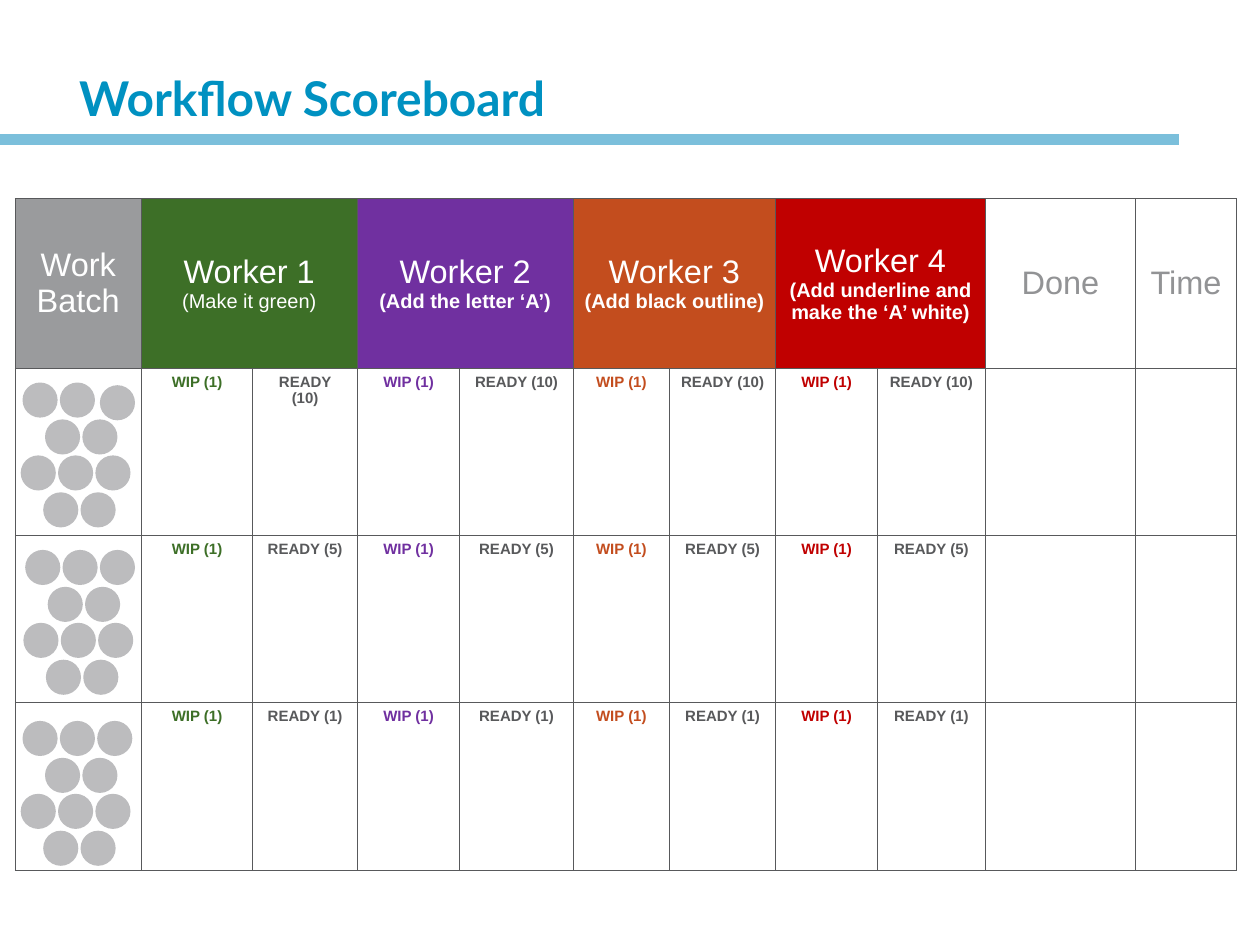
from lxml import etree
from pptx import Presentation
from pptx.dml.color import RGBColor
from pptx.enum.shapes import MSO_SHAPE
from pptx.enum.text import MSO_ANCHOR, MSO_AUTO_SIZE, PP_ALIGN
from pptx.oxml.ns import qn
from pptx.util import Inches, Pt

RECTANGLE, OVAL = MSO_SHAPE.RECTANGLE, MSO_SHAPE.OVAL
TOP, MIDDLE = MSO_ANCHOR.TOP, MSO_ANCHOR.MIDDLE
LEFT, CENTER = PP_ALIGN.LEFT, PP_ALIGN.CENTER

COLORS = {
    "title": "0091C1", "rule": "7BBFDB", "circle": "BCBCBE",
    "batch": "9A9B9D", "green": "3D6F27", "purple": "7030A0",
    "orange": "C34D1E", "red": "C00000", "white": "FFFFFF",
    "muted": "929395", "dark": "58595B",
}
TABLE_LEFT, TABLE_TOP = 0.17, 2.21
COLUMN_WIDTHS = [1.4, 1.24, 1.16, 1.14, 1.26, 1.07, 1.18, 1.13, 1.2, 1.67, 1.12]
ROW_HEIGHTS = [1.88, 1.86, 1.86, 1.86]
WORKERS = [
    ("Worker 1", "(Make it green)", "green", False),
    ("Worker 2", "(Add the letter ‘A’)", "purple", True),
    ("Worker 3", "(Add black outline)", "orange", True),
    ("Worker 4", "(Add underline and make the ‘A’ white)", "red", True),
]
READY_LIMITS = [10, 5, 1]
CIRCLE_SIZE, CIRCLE_STEP = 0.39, 0.415
CIRCLE_ROWS = [(0.02, 0, 3), (0.27, 0.41, 2), (0, 0.81, 3), (0.25, 1.22, 2)]
CLUSTERS = [(0.23, 4.25), (0.26, 6.11), (0.23, 8.01)]


def write_lines(frame, lines, align=CENTER):
    """Write one paragraph per (text, size, colour, bold, font) entry."""
    for index, (text, size, color, bold, font) in enumerate(lines):
        para = frame.paragraphs[0] if index == 0 else frame.add_paragraph()
        para.alignment = align
        span = para.add_run()
        span.text = text
        formats = {"size": Pt(size), "bold": bold, "name": font}
        for name, value in formats.items():
            setattr(span.font, name, value)
        span.font.color.rgb = RGBColor.from_string(COLORS[color])


def add_plain_shape(kind, left, top, width, height, color):
    """Add a filled shape with no outline or shadow."""
    shape = page.shapes.add_shape(
        kind, Inches(left), Inches(top), Inches(width), Inches(height))
    shape.shadow.inherit = False
    shape.fill.solid()
    shape.fill.fore_color.rgb = RGBColor.from_string(COLORS[color])
    shape.line.fill.background()


deck = Presentation()
deck.slide_width, deck.slide_height = Inches(14), Inches(10.5)
page = deck.slides.add_slide(deck.slide_layouts[5])

# Title and rule
title = page.shapes.title
place = {"left": 0.78, "top": 0.69, "width": 12.43, "height": 0.64}
for name, value in place.items():
    setattr(title, name, Inches(value))
title_format = {
    "word_wrap": True, "auto_size": MSO_AUTO_SIZE.NONE, "vertical_anchor": TOP,
    "margin_top": Inches(0.07), "margin_bottom": 0,
}
for name, value in title_format.items():
    setattr(title.text_frame, name, value)
write_lines(title.text_frame,
            [("Workflow Scoreboard", 38.3, "title", True, "Lato")], LEFT)

# Scoreboard table
board = page.shapes.add_table(
    len(ROW_HEIGHTS), len(COLUMN_WIDTHS), Inches(TABLE_LEFT), Inches(TABLE_TOP),
    Inches(sum(COLUMN_WIDTHS)), Inches(sum(ROW_HEIGHTS))).table
board.first_row = board.horz_banding = False
for column, width in zip(board.columns, COLUMN_WIDTHS):
    column.width = Inches(width)
for row, height in zip(board.rows, ROW_HEIGHTS):
    row.height = Inches(height)

# Cell contents, keyed by row and column: fill and lines
contents = {
    (0, 0): ("batch", [(word, 26, "white", False, "Arial")
                       for word in ("Work", "Batch")]),
    (0, 9): ("white", [("Done", 26, "muted", False, "Arial")]),
    (0, 10): ("white", [("Time", 26, "muted", False, "Arial")]),
}
for index, (worker, task, color, bold) in enumerate(WORKERS):
    column = 1 + 2 * index
    board.cell(0, column).merge(board.cell(0, column + 1))
    contents[0, column] = (color, [(worker, 26, "white", False, "Arial"),
                                   (task, 16, "white", bold, "Arial")])
    for row, limit in enumerate(READY_LIMITS, start=1):
        contents[row, column] = (
            "white", [("WIP (1)", 12, color, True, "Arial")])
        contents[row, column + 1] = (
            "white", [(f"READY ({limit})", 12, "dark", True, "Arial")])

for row in range(len(ROW_HEIGHTS)):
    for column in range(len(COLUMN_WIDTHS)):
        cell = board.cell(row, column)
        fill, lines = contents.get((row, column), ("white", []))
        cell_format = {
            "vertical_anchor": MIDDLE if row == 0 else TOP,
            "margin_left": Inches(0.12), "margin_right": Inches(0.12),
            "margin_top": Inches(0.06), "margin_bottom": Inches(0.06),
        }
        for name, value in cell_format.items():
            setattr(cell, name, value)
        write_lines(cell.text_frame, lines)
        properties = cell._tc.get_or_add_tcPr()
        for side in ("a:lnL", "a:lnR", "a:lnT", "a:lnB"):
            border = etree.SubElement(properties, qn(side), w=str(Pt(1)))
            solid = etree.SubElement(border, qn("a:solidFill"))
            etree.SubElement(solid, qn("a:srgbClr"), val=COLORS["dark"])
        cell.fill.solid()
        cell.fill.fore_color.rgb = RGBColor.from_string(COLORS[fill])

add_plain_shape(RECTANGLE, 0, 1.49, 13.1, 0.12, "rule")

# Ten work items per batch
for batch, (left, top) in enumerate(CLUSTERS):
    for row, (indent, drop, count) in enumerate(CIRCLE_ROWS):
        for item in range(count):
            # The last item in the first row of the first batch sits off the grid
            nudge = 0.03 if (batch, row, item) == (0, 0, 2) else 0
            add_plain_shape(OVAL, left + indent + item * CIRCLE_STEP + nudge,
                            top + drop + nudge, CIRCLE_SIZE, CIRCLE_SIZE, "circle")

deck.save("out.pptx")
